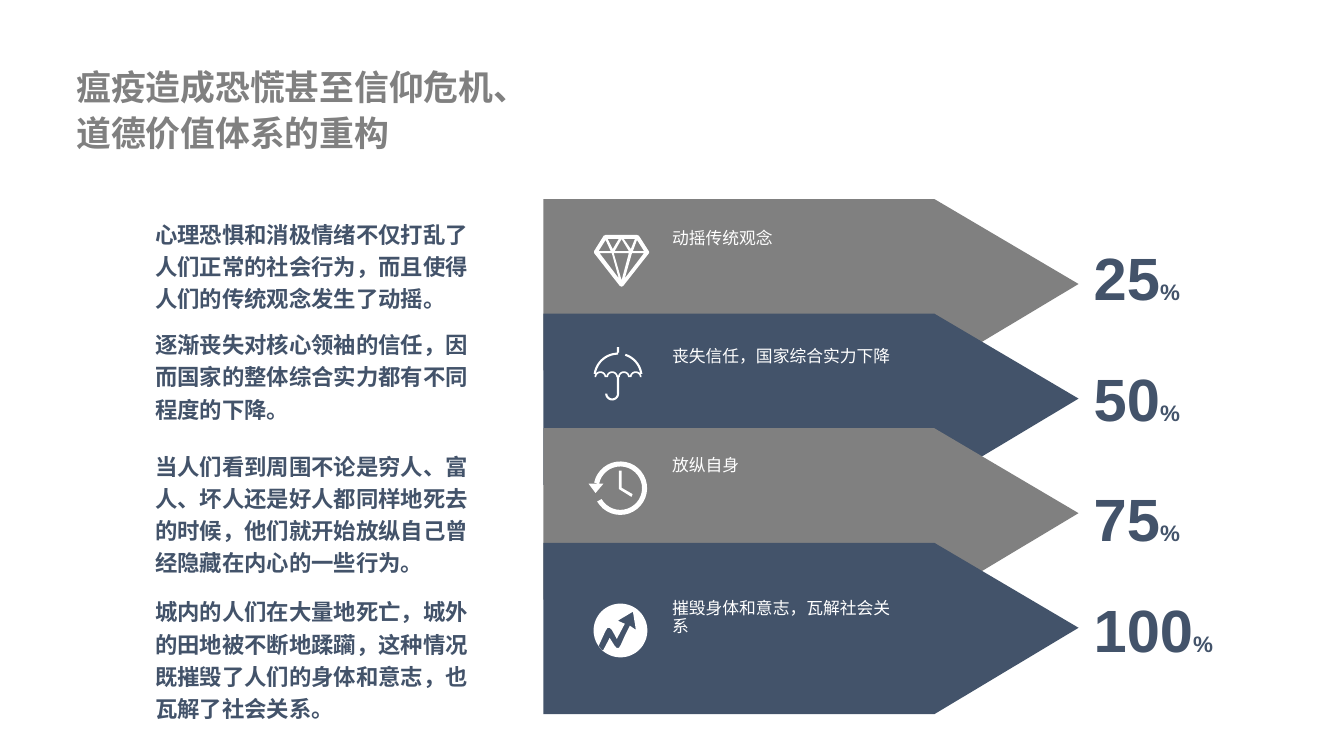
from dataclasses import dataclass
from math import cos, radians, sin

from lxml import etree
from pptx import Presentation
from pptx.dml.color import RGBColor
from pptx.enum.text import MSO_ANCHOR, MSO_AUTO_SIZE
from pptx.oxml.ns import qn
from pptx.util import Pt

TOP, MIDDLE = MSO_ANCHOR.TOP, MSO_ANCHOR.MIDDLE
FIT_TEXT = MSO_AUTO_SIZE.SHAPE_TO_FIT_TEXT


@dataclass(frozen=True)
class Theme:
    """Colours, fonts and type sizes of the slide."""
    gray: RGBColor = RGBColor(0x80, 0x80, 0x80)
    navy: RGBColor = RGBColor(0x43, 0x53, 0x6A)
    white: RGBColor = RGBColor(0xFF, 0xFF, 0xFF)
    title_font: str = "Calibri"
    label_font: str = "Arial"
    chinese_font: str = "Noto Sans CJK SC"
    title_size: float = 24.9
    body_size: float = 16
    label_size: float = 12
    number_size: float = 42.6
    percent_size: float = 16


THEME = Theme()

TITLE = "瘟疫造成恐慌甚至信仰危机、道德价值体系的重构"


def add_text(slide, box, runs, color, font, bold=True, spacing=None,
             insets=(7.2, 3.6), anchor=TOP, wrap=True):
    """Place one paragraph of (text, size) runs in a box."""
    frame = slide.shapes.add_textbox(*map(Pt, box)).text_frame
    frame.word_wrap = wrap
    frame.auto_size = FIT_TEXT
    frame.vertical_anchor = anchor
    frame.margin_left = frame.margin_right = Pt(insets[0])
    frame.margin_top = frame.margin_bottom = Pt(insets[1])
    paragraph = frame.paragraphs[0]
    if spacing:
        paragraph.line_spacing = spacing
    for text, size in runs:
        run = paragraph.add_run()
        run.text = text
        run.font.name = font
        run.font.size = Pt(size)
        run.font.bold = bold
        run.font.color.rgb = color
        east_asian = etree.SubElement(run.font._element, qn("a:ea"))
        east_asian.set("typeface", THEME.chinese_font)


def fill_contours(slide, origin, contours, color):
    """Fill closed contours as one shape; inner contours become holes."""
    scaled = [[(x * 100, y * 100) for x, y in contour] for contour in contours]
    builder = slide.shapes.build_freeform(*scaled[0][0], scale=Pt(1) / 100)
    for i, contour in enumerate(scaled):
        if i:
            builder.move_to(*contour[0])
        builder.add_line_segments(contour[1:], close=True)
    shape = builder.convert_to_shape(*map(Pt, origin))
    shape.shadow.inherit = False
    shape.fill.solid()
    shape.fill.fore_color.rgb = color
    shape.line.fill.background()


def arc(center, radius, start, end, steps=32):
    """Return points of an arc, with angles clockwise from the right."""
    angles = [radians(start + (end - start) * i / steps) for i in range(steps + 1)]
    return [(center[0] + radius * cos(a), center[1] + radius * sin(a)) for a in angles]


def band(center, radius, width, start, end):
    """Return the contour of an arc with a width."""
    outer = arc(center, radius + width / 2, start, end)
    return outer + arc(center, radius - width / 2, end, start)


def diamond(slide, left, top):
    """Draw the diamond icon."""
    contours = [
        [(39.6, 11.9), (32.4, 0.6), (31, 0), (8.6, 0), (7.2, 0.6), (0.4, 11.5),
         (0.4, 13), (18.7, 36.4), (20, 37), (21.2, 36.4), (39.6, 13)],
        [(25.2, 13), (20, 32.4), (14.4, 13)],
        [(15.1, 11.5), (20, 2.9), (25.2, 11.5)],
        [(21.6, 2.9), (29.5, 2.9), (26.6, 10.1)],
        [(13.7, 10.1), (10.1, 2.9), (18, 2.9)],
        [(18, 31), (4.3, 13), (13, 13)],
        [(27.4, 13), (36, 13), (22.3, 31)],
        [(36, 11.5), (28.1, 11.5), (31, 3.6)],
        [(8.6, 3.6), (12.2, 11.5), (3.6, 11.5)],
    ]
    fill_contours(slide, (left + 3.6, top), contours, THEME.white)


def umbrella(slide, left, top):
    """Draw the umbrella icon."""
    x, y = hub = (17.5, 21.5)
    weight, radius = 1.5, 16.8
    centers = [(x + step * 4.2, y) for step in (-3, -1, 1, 3)]
    scallops = [point for c in centers for point in arc(c, 4.2, 180, 360, 16)]
    scallops += [point for c in reversed(centers) for point in arc(c, 3, 360, 180, 16)]
    half = weight / 2
    hook = band((x - 4.2, 33.2), 4.2, weight, 180, 0)
    pole = hook[:33] + [(x + half, y), (x - half, y)] + hook[33:]
    tip = [(x - half, 0), (x + half, 0), (x + half, 3.9), (x - half, 3.9)]
    contours = [band(hub, radius, weight, 188, 270), band(hub, radius, weight, 288, 352),
                scallops, pole, tip]
    fill_contours(slide, (left + 3.6, top), contours, THEME.white)


def clock(slide, left, top):
    """Draw the clock icon with its backward arrow."""
    ring = band((22.7, 19), 17.3, 3.6, 192, 510)
    arrowhead = [(0, 15.8), (5, 22.5), (10.6, 15.8)]
    hands = [(21.6, 6.5), (21.6, 19.6), (30.6, 25.2), (31.5, 23.3), (23.6, 18.7), (23.6, 6.5)]
    fill_contours(slide, (left, top), [ring, arrowhead, hands], THEME.white)


def trend(slide, left, top):
    """Draw a disc with a rising arrow cut out of it."""
    disc = arc((19.2, 19.2), 19.2, 0, 360, 64)
    rise = [(6.5, 34), (11.5, 24.5), (15.1, 30.2), (16.5, 31.7), (18, 31.7),
            (19.4, 29.5), (22.3, 23), (25.9, 15.8), (30.2, 18.7), (28.1, 5.8),
            (17.3, 12.2), (22.3, 14.4), (16.6, 25.2), (13, 18.7), (11.5, 17.3),
            (10, 17.3), (8.6, 19.4), (3.6, 30.2)]
    fill_contours(slide, (left + 3.6, top), [disc, rise], THEME.white)


@dataclass(frozen=True)
class Stage:
    """One arrow with its texts, and their offsets from its top."""
    label: str
    number: str
    story: str
    icon: object
    icon_top: float
    label_top: float
    number_top: float
    story_top: float
    story_height: float


STAGES = [
    Stage("动摇传统观念", "25",
          "心理恐惧和消极情绪不仅打乱了人们正常的社会行为，而且使得人们的传统观念发生了动摇。",
          diamond, 25.6, 18, 26.4, 5.8, 79.2),
    Stage("丧失信任，国家综合实力下降", "50",
          "逐渐丧失对核心领袖的信任，因而国家的整体综合实力都有不同程度的下降。",
          umbrella, 23.9, 20.2, 31, 3, 79.2),
    Stage("放纵自身", "75",
          "当人们看到周围不论是穷人、富人、坏人还是好人都同样地死去的时候，"
          "他们就开始放纵自己曾经隐藏在内心的一些行为。",
          clock, 23.8, 16.8, 34.8, 7.8, 103),
    Stage("摧毁身体和意志，瓦解社会关系", "100",
          "城内的人们在大量地死亡，城外的田地被不断地蹂躏，"
          "这种情况既摧毁了人们的身体和意志，也瓦解了社会关系。",
          trend, 43.4, 36.4, 32.1, 30.2, 103),
]


def draw_stage(slide, box, stage, color):
    """Draw an arrow in its box, with its icon, label, percentage and story."""
    left, top, width, height = box
    shoulder = width - 103
    arrow = [(0, 0), (shoulder, 0), (width, height / 2 - 0.5), (shoulder, height), (0, height)]
    fill_contours(slide, (left, top), [arrow], color)
    stage.icon(slide, left + 32.3, top + stage.icon_top)
    add_text(slide, (left + 84.9, top + stage.label_top, 180.7, 21),
             [(stage.label, THEME.label_size)], THEME.white, THEME.label_font,
             bold=False, spacing=Pt(13.3))
    add_text(slide, (left + width + 3.7, top + stage.number_top,
                     28.4 + 24 * len(stage.number), 59),
             [(stage.number, THEME.number_size), ("%", THEME.percent_size)],
             THEME.navy, THEME.label_font, wrap=False)
    add_text(slide, (left - 288.7, top + stage.story_top, 256.3, stage.story_height),
             [(stage.story, THEME.body_size)], THEME.navy, THEME.chinese_font,
             spacing=1.2, insets=(11.5, 5.8))


def draw_title(slide, box):
    """Draw the slide title."""
    add_text(slide, box, [(TITLE, THEME.title_size)], THEME.gray, THEME.title_font,
             spacing=1.1, anchor=MIDDLE)


def draw_stages(slide, box, pitch):
    """Stack overlapping arrows, with the first one filling the box."""
    left, top, width, height = box
    for i, stage in enumerate(STAGES):
        color = THEME.navy if i % 2 else THEME.gray
        draw_stage(slide, (left, top + i * pitch, width, height), stage, color)


def main():
    """Build and save the slide."""
    deck = Presentation()
    deck.slide_width, deck.slide_height = Pt(960), Pt(540)
    slide = deck.slides.add_slide(deck.slide_layouts[6])
    draw_title(slide, (47.5, 41, 317.5, 71.3))
    draw_stages(slide, (388.1, 142.2, 382.3, 122.4), 81.85)
    deck.save("out.pptx")


if __name__ == "__main__":
    main()
